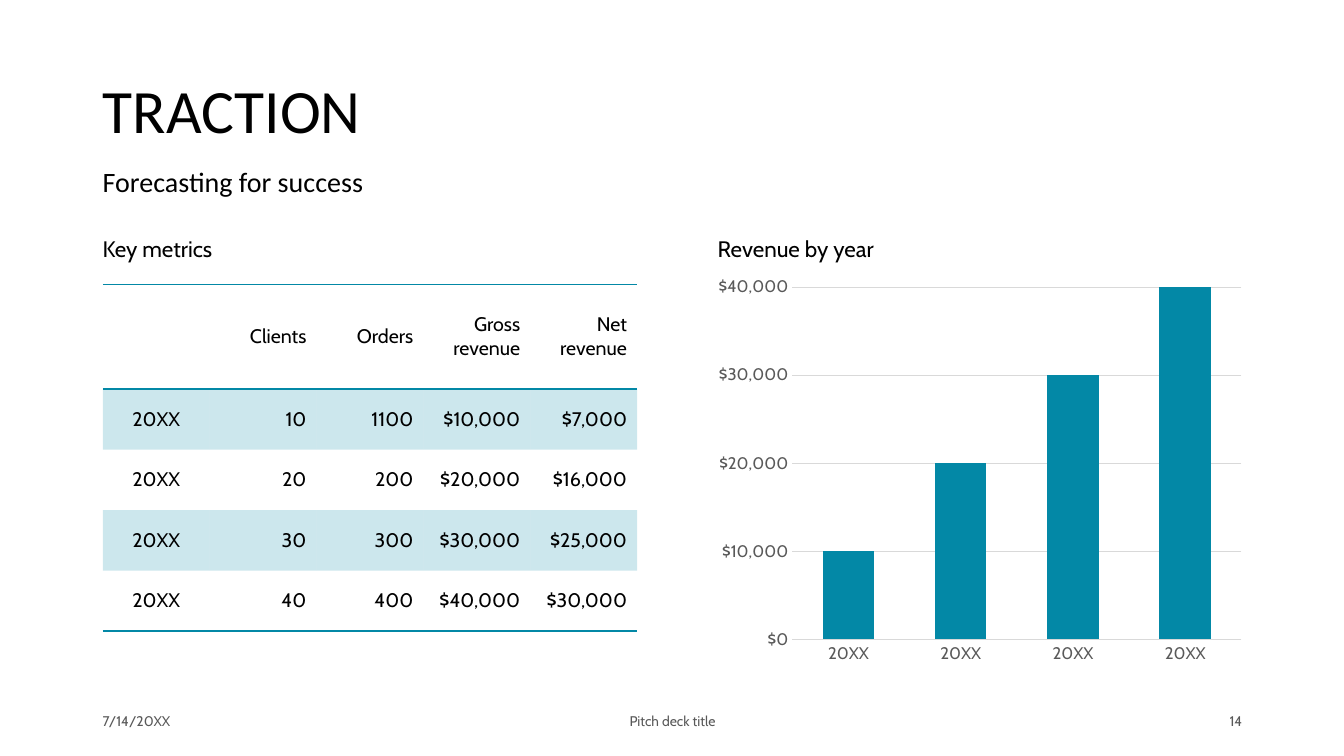
import pptx
import pptx.chart.data
import pptx.dml.color
import pptx.enum.chart
import pptx.enum.text
import pptx.oxml
import pptx.oxml.ns
import pptx.util
from pptx.util import Inches

RGBColor = pptx.dml.color.RGBColor
TEAL = RGBColor(0x03, 0x88, 0xA6)
BLACK = RGBColor(0, 0, 0)
GREY = RGBColor(0x59, 0x59, 0x59)
LIGHT_GREY = RGBColor(0xD9, 0xD9, 0xD9)

ALIGN = pptx.enum.text.PP_ALIGN
ANCHOR = pptx.enum.text.MSO_ANCHOR
NO_GRID_STYLE = "{2D5ABB26-0587-4C30-8999-92F81FD0307C}"

METRICS = [
    ["", "Clients", "Orders", "Gross revenue", "Net revenue"],
    ["20XX", "10", "1100", "$10,000", "$7,000"],
    ["20XX", "20", "200", "$20,000", "$16,000"],
    ["20XX", "30", "300", "$30,000", "$25,000"],
    ["20XX", "40", "400", "$40,000", "$30,000"],
]
REVENUE = [10000, 20000, 30000, 40000]


def set_attributes(target, values):
    for attribute, value in values.items():
        setattr(target, attribute, value)


def set_font(font, name, size, color):
    set_attributes(font, {"name": name, "size": pptx.util.Pt(size), "bold": False})
    font.color.rgb = color


def set_line(line, color, width=0.75):
    line.color.rgb = color
    line.width = pptx.util.Pt(width)


def add_border(cell, side):
    """Draw a teal 1 pt line on one side ("T" or "B") of a table cell."""
    cell._tc.get_or_add_tcPr().append(pptx.oxml.parse_xml(
        f'<a:ln{side} {pptx.oxml.ns.nsdecls("a")} w="12700"><a:solidFill>'
        f'<a:srgbClr val="{TEAL}"/></a:solidFill></a:ln{side}>'))


def tint(cell):
    """Fill a cell with teal at 20 % opacity."""
    cell.fill.solid()
    cell.fill.fore_color.rgb = TEAL
    color = cell._tc.tcPr.find(pptx.oxml.ns.qn("a:solidFill"))[0]
    color.append(pptx.oxml.parse_xml(
        f'<a:alpha {pptx.oxml.ns.nsdecls("a")} val="20000"/>'))


class TractionSlide:
    body_font = "Cabin"
    heading_font = "Calibri"

    def __init__(self, presentation):
        self.slide = presentation.slides.add_slide(presentation.slide_layouts[5])

    def set_text(self, shape, text, font, size, color, anchor, align=ALIGN.LEFT, spacing=1.0):
        frame = shape.text_frame
        set_attributes(frame, {"word_wrap": True, "vertical_anchor": anchor,
                               "auto_size": pptx.enum.text.MSO_AUTO_SIZE.NONE})
        frame.text = text
        paragraph = frame.paragraphs[0]
        set_attributes(paragraph, {"alignment": align, "line_spacing": spacing})
        set_font(paragraph.font, font, size, color)

    def title(self, text, left, top, width, height):
        shape = self.slide.shapes.title
        set_attributes(shape, {"left": Inches(left), "top": Inches(top),
                               "width": Inches(width), "height": Inches(height)})
        self.set_text(shape, text, self.heading_font, 44, BLACK, ANCHOR.MIDDLE, spacing=0.9)

    def text(self, text, box, **text_format):
        shape = self.slide.shapes.add_textbox(*map(Inches, box))
        self.set_text(shape, text, **text_format)

    def heading(self, text, left):
        self.text(text, (left, 1.85, 5.65, 0.8), font=self.body_font, size=16,
                  color=BLACK, anchor=ANCHOR.BOTTOM, spacing=0.9)

    def footer(self, text, left, width, align):
        self.text(text, (left, 6.95, width, 0.4), font=self.body_font, size=10,
                  color=GREY, anchor=ANCHOR.MIDDLE, align=align)

    def table(self, rows, left, top, width, header_height, row_height):
        height = header_height + row_height * (len(rows) - 1)
        frame = self.slide.shapes.add_table(
            len(rows), len(rows[0]), *map(Inches, (left, top, width, height)))
        table = frame.table
        table.first_row = table.horz_banding = False
        style = table._tbl.tblPr.find(pptx.oxml.ns.qn("a:tableStyleId"))
        style.text = NO_GRID_STYLE
        for row_index, values in enumerate(rows):
            table.rows[row_index].height = Inches(row_height if row_index else header_height)
            for column_index, value in enumerate(values):
                cell = table.cell(row_index, column_index)
                cell.text = value
                cell.vertical_anchor = ANCHOR.MIDDLE
                paragraph = cell.text_frame.paragraphs[0]
                paragraph.alignment = ALIGN.RIGHT if column_index else ALIGN.CENTER
                set_font(paragraph.font, self.body_font, 14, BLACK)
                if row_index == 0:
                    add_border(cell, "T")
                if row_index in (0, len(rows) - 1):
                    add_border(cell, "B")
                if row_index % 2:
                    tint(cell)
                else:
                    cell.fill.background()

    def column_chart(self, categories, values, box):
        data = pptx.chart.data.CategoryChartData()
        data.categories = categories
        data.add_series("Series 1", values)
        chart = self.slide.shapes.add_chart(
            pptx.enum.chart.XL_CHART_TYPE.COLUMN_CLUSTERED, *map(Inches, box), data).chart
        chart.has_legend = chart.has_title = False
        set_font(chart.font, self.body_font, 10, BLACK)

        plot = chart.plots[0]
        set_attributes(plot, {"gap_width": 118, "overlap": -3, "vary_by_categories": False})
        fill = plot.series[0].format.fill
        fill.solid()
        fill.fore_color.rgb = TEAL

        for axis in (chart.category_axis, chart.value_axis):
            axis.major_tick_mark = axis.minor_tick_mark = pptx.enum.chart.XL_TICK_MARK.NONE
            set_font(axis.tick_labels.font, self.body_font, 12, GREY)
        set_line(chart.category_axis.format.line, LIGHT_GREY)

        value_axis = chart.value_axis
        set_attributes(value_axis, {"minimum_scale": 0, "maximum_scale": 40000,
                                    "major_unit": 10000})
        value_axis.format.line.fill.background()
        set_line(value_axis.major_gridlines.format.line, LIGHT_GREY)
        set_attributes(value_axis.tick_labels, {"number_format": "[$$-409]#,##0",
                                                "number_format_is_linked": False})


def main():
    presentation = pptx.Presentation()
    presentation.slide_width = Inches(13.33)
    presentation.slide_height = Inches(7.5)

    slide = TractionSlide(presentation)
    slide.title("TRACTION", 0.92, 0.4, 11.5, 1.45)
    slide.text("Forecasting for success", (0.92, 1.62, 9.1, 0.4), font=slide.heading_font,
               size=20, color=BLACK, anchor=ANCHOR.TOP, spacing=0.9)
    slide.heading("Key metrics", 0.92)
    slide.table(METRICS, 1.02, 2.82, 5.3, header_height=1.04, row_height=0.6)
    slide.heading("Revenue by year", 7.02)
    slide.column_chart([row[0] for row in METRICS[1:]], REVENUE, (7.02, 2.67, 5.4, 3.99))
    slide.footer("7/14/20XX", 0.92, 3, ALIGN.LEFT)
    slide.footer("Pitch deck title", 4.42, 4.5, ALIGN.CENTER)
    slide.footer("14", 9.42, 3, ALIGN.RIGHT)

    presentation.save("out.pptx")


if __name__ == "__main__":
    main()
